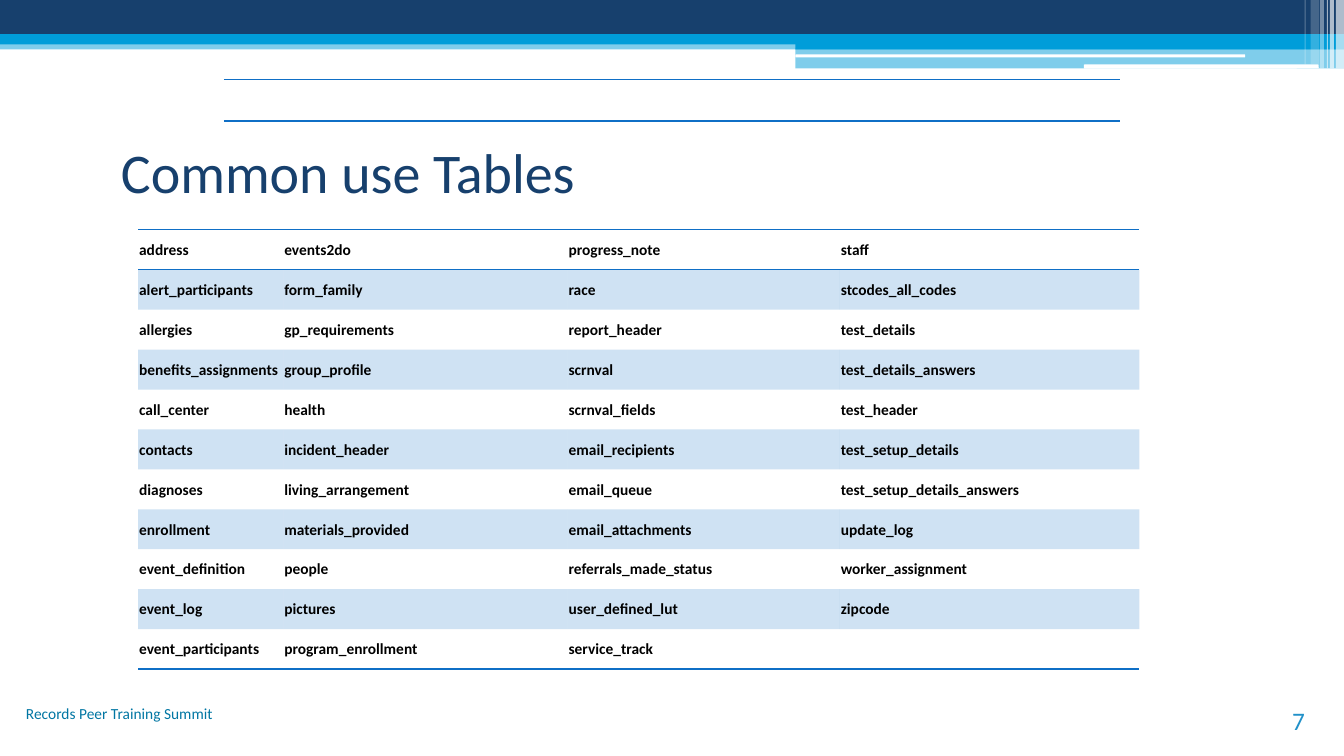
from lxml import etree
from pptx import Presentation
from pptx import util as u
from pptx.dml.color import RGBColor
from pptx.enum import shapes, text
from pptx.oxml.ns import qn

WIDTH, HEIGHT = 13.33, 7.5
NAVY, CYAN, BLUE, WHITE = "17406D", "009DD9", "0F6FC6", "FFFFFF"
NO_STYLE = "{2D5ABB26-0587-4C30-8999-92F81FD0307C}"

TABLE_NAMES = [
    ["address", "alert_participants", "allergies", "benefits_assignments",
     "call_center", "contacts", "diagnoses", "enrollment",
     "event_definition", "event_log", "event_participants"],
    ["events2do", "form_family", "gp_requirements", "group_profile",
     "health", "incident_header", "living_arrangement",
     "materials_provided", "people", "pictures", "program_enrollment"],
    ["progress_note", "race", "report_header", "scrnval",
     "scrnval_fields", "email_recipients", "email_queue",
     "email_attachments", "referrals_made_status", "user_defined_lut",
     "service_track"],
    ["staff", "stcodes_all_codes", "test_details", "test_details_answers",
     "test_header", "test_setup_details", "test_setup_details_answers",
     "update_log", "worker_assignment", "zipcode"],
]


def rgb(color):
    return RGBColor.from_string(color)


def inches(*lengths):
    return [u.Inches(length) for length in lengths]


def paint(fill, parent, color, opacity=100):
    """Fill a shape or cell; parent is the element that holds the fill."""
    fill.solid()
    fill.fore_color.rgb = rgb(color)
    if opacity < 100:
        srgb = parent.find(qn("a:solidFill")).find(qn("a:srgbClr"))
        etree.SubElement(srgb, qn("a:alpha")).set("val", str(opacity * 1000))


def format_text(frame, size, color, bold=False, align=text.PP_ALIGN.LEFT):
    for paragraph in frame.paragraphs:
        paragraph.alignment = align
        for run in paragraph.runs:
            run.font.name = "Calibri"
            run.font.size = u.Pt(size)
            run.font.bold = bold
            run.font.color.rgb = rgb(color)


def add_banner(slide, width):
    """Draw the stacked bands, then the pale stripes at their right end."""
    rect = shapes.MSO_SHAPE.RECTANGLE
    rounded = shapes.MSO_SHAPE.ROUNDED_RECTANGLE
    split = 7.89
    bands = [
        (rect, 0, 0.4, width, 0.09, CYAN, 50),
        (rect, 0, 0, width, 0.34, NAVY, 100),
        (rect, 0, 0.34, width, 0.1, CYAN, 100),
        (rect, split, 0.39, width - split, 0.1, CYAN, 100),
        (rect, split, 0.48, width - split, 0.2, CYAN, 50),
        (rounded, split, 0.54, 4.46, 0.03, WHITE, 100),
        (rounded, 10.75, 0.64, 2.33, 0.04, WHITE, 100),
    ]
    stripes = [(0.08, 0.08, 0.68, 65), (0.14, 0.04, 0.68, 65),
               (0.17, 0.01, 0.68, 60), (0.24, 0.04, 0.68, 40),
               (0.33, 0.08, 0.64, 20), (0.39, 0.01, 0.64, 30)]
    bands += [(rect, width - from_right, 0, stripe, height, WHITE, opacity)
              for from_right, stripe, height, opacity in stripes]
    for kind, left, top, band_width, height, color, opacity in bands:
        shape = slide.shapes.add_shape(
            kind, *inches(left, top, band_width, height))
        shape.shadow.inherit = False
        shape.line.fill.background()
        paint(shape.fill, shape._element.spPr, color, opacity)


def add_title(slide, box, wording):
    title = slide.shapes.title
    title.left, title.top, title.width, title.height = inches(*box)
    title.text_frame.text = wording
    title.text_frame.vertical_anchor = text.MSO_ANCHOR.MIDDLE
    format_text(title.text_frame, 40, NAVY)


def add_footer_text(slide, box, wording, size, color, anchor):
    frame = slide.shapes.add_textbox(*inches(*box)).text_frame
    frame.word_wrap = True
    frame.vertical_anchor = anchor
    frame.text = wording
    format_text(frame, size, color, align=text.PP_ALIGN.RIGHT)


def add_plain_table(slide, box, rows, column_shares):
    """Add an unstyled table with equal rows and proportional columns."""
    left, top, width, height = box
    table = slide.shapes.add_table(
        rows, len(column_shares), *inches(*box)).table
    table.first_row = table.horz_banding = False
    table._tbl.tblPr.find(qn("a:tableStyleId")).text = NO_STYLE
    for column, share in zip(table.columns, column_shares):
        column.width = u.Inches(width * share / sum(column_shares))
    for row in table.rows:
        row.height = u.Inches(height / rows)
    return table


def rule_cell(cell, *sides):
    """Draw 1 pt lines on the sides, named in schema order (lnT, lnB)."""
    properties = cell._tc.get_or_add_tcPr()
    for side in reversed(sides):
        line = etree.Element(qn("a:" + side), w=str(u.Pt(1)))
        fill = etree.SubElement(line, qn("a:solidFill"))
        etree.SubElement(fill, qn("a:srgbClr")).set("val", BLUE)
        properties.insert(0, line)


def add_empty_table(slide, box):
    cell = add_plain_table(slide, box, 1, [1]).cell(0, 0)
    cell.fill.background()
    rule_cell(cell, "lnT", "lnB")


def add_names_table(slide, box):
    rows = len(TABLE_NAMES[0])
    table = add_plain_table(slide, box, rows, [1.44, 2.82, 2.7, 2.97])
    for c, names in enumerate(TABLE_NAMES):
        for r in range(rows):
            cell = table.cell(r, c)
            cell.margin_left = cell.margin_right = u.Inches(0.01)
            cell.margin_top, cell.margin_bottom = inches(0.01, 0)
            cell.vertical_anchor = text.MSO_ANCHOR.MIDDLE
            if r < len(names):
                cell.text_frame.text = names[r]
                format_text(cell.text_frame, 11, "000000", bold=True)
            if r % 2:
                paint(cell.fill, cell._tc.get_or_add_tcPr(), BLUE, 20)
            else:
                cell.fill.background()
            if r == 0:
                rule_cell(cell, "lnT", "lnB")
            elif r == rows - 1:
                rule_cell(cell, "lnB")


def main():
    presentation = Presentation()
    presentation.slide_width, presentation.slide_height = inches(WIDTH, HEIGHT)
    slide = presentation.slides.add_slide(presentation.slide_layouts[5])
    add_banner(slide, WIDTH)
    add_title(slide, (1.1, 1.11, 11.21, 1.17), "Common use Tables")
    add_footer_text(slide, (0, 6.94, 2.21, 0.5),
                    "Records Peer Training Summit", 11, "0076A3",
                    text.MSO_ANCHOR.TOP)
    add_footer_text(slide, (11.93, 6.95, 1.11, 0.4), "7", 18, "2191C9",
                    text.MSO_ANCHOR.BOTTOM)
    add_empty_table(slide, (WIDTH / 6, 0.79, WIDTH * 2 / 3, 0.41))
    add_names_table(slide, (1.37, 2.28, 9.93, 4.36))
    presentation.save("out.pptx")


if __name__ == "__main__":
    main()
